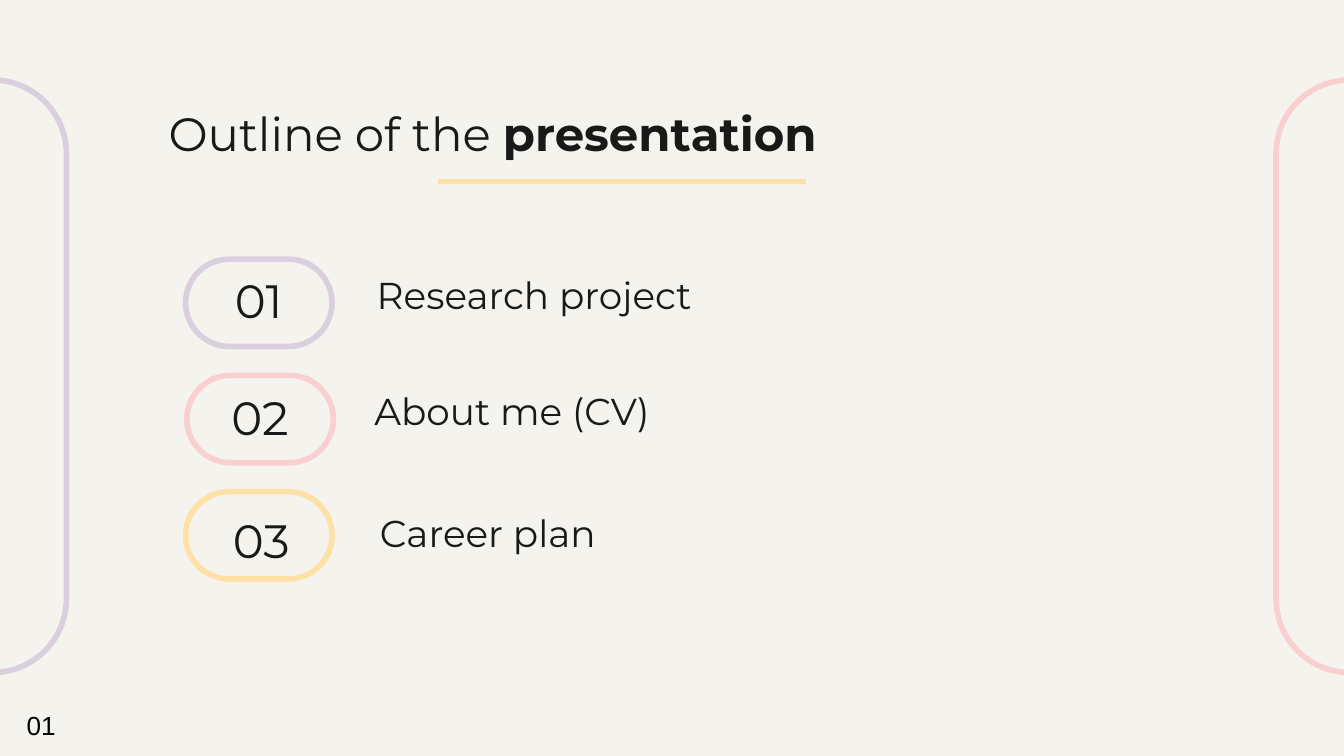
from lxml import etree
from pptx import Presentation
from pptx.dml.color import RGBColor
from pptx.enum import shapes as kinds, text as align
from pptx.oxml import ns
from pptx.util import Pt

COLORS = {
    "paper": "F5F3ED", "ink": "191919", "black": "000000",
    "lilac": "D9CFDE", "pink": "F9CFD0", "yellow": "FFE0A7",
}
SLIDE_W, SLIDE_H = 720, 405
INSET = 7.2
PILL_W, PILL_H = 78.5, 46.8
ROW_TOP, ROW_PITCH = 138.8, 62.3

# colour, pill left, (number, left, drop), (label, left, width, drop);
# a drop is measured from the top of the row
TOPICS = [
    ("lilac", 99.4, ("01", 110.9, -0.6), ("Research project", 194.4, 183.6, -3.4)),
    ("pink", 100.1, ("02", 111.6, -0.2), ("About me (CV)", 188.6, 171.4, -3.8)),
    ("yellow", 99.4, ("03", 112.3, 3.7), ("Career plan", 149.8, 223.2, -0.6)),
]


def rgb(name):
    return RGBColor.from_string(COLORS[name])


def add_outline(slide, box, color):
    """Unfilled shape with fully rounded ends."""
    outline = slide.shapes.add_shape(
        kinds.MSO_SHAPE.ROUNDED_RECTANGLE, *map(Pt, box))
    outline.adjustments[0] = 0.5
    outline.shadow.inherit = False
    outline.fill.background()
    outline.line.color.rgb = rgb(color)
    outline.line.width = Pt(3)


def add_text(slide, box, parts, size, anchor=align.MSO_ANCHOR.TOP,
             alignment=align.PP_ALIGN.CENTER, font="Montserrat",
             color="ink", inset_y=INSET):
    """One paragraph made of (words, bold) parts."""
    frame = slide.shapes.add_textbox(*map(Pt, box)).text_frame
    frame.word_wrap = True
    frame.vertical_anchor = anchor
    frame.margin_left = frame.margin_right = Pt(INSET)
    frame.margin_top = frame.margin_bottom = Pt(inset_y)
    paragraph = frame.paragraphs[0]
    paragraph.alignment = alignment
    for words, bold in parts:
        run = paragraph.add_run()
        run.text = words
        run.font.name = font
        run.font.size = Pt(size)
        run.font.bold = bold
        run.font.color.rgb = rgb(color)


def add_side_frames(slide, top, width, height):
    for left, color in ((-43.6, "lilac"), (683.6, "pink")):
        add_outline(slide, (left, top, width, height), color)


def add_heading(slide, box):
    left, top, width, height = box
    add_text(slide, box, [("Outline of the ", False), ("presentation", True)], 25)
    rule_y = top + height + 2.8
    rule = slide.shapes.add_connector(
        kinds.MSO_CONNECTOR.STRAIGHT,
        Pt(left + 274.3), Pt(rule_y), Pt(left + 471.6), Pt(rule_y))
    rule.line.color.rgb = rgb("yellow")
    rule.line.width = Pt(3)
    etree.SubElement(rule.element.spPr, ns.qn("a:effectLst"))


def add_topic(slide, top, topic):
    color, pill_left, number_part, label_part = topic
    number, number_left, number_drop = number_part
    label, label_left, label_width, label_drop = label_part
    add_outline(slide, (pill_left, top, PILL_W, PILL_H), color)
    add_text(slide, (number_left, top + number_drop, 55.4, PILL_H),
             [(number, False)], 25)
    add_text(slide, (label_left, top + label_drop, label_width, 41.8),
             [(label, False)], 20, anchor=align.MSO_ANCHOR.BOTTOM)


def add_page_number(slide, box):
    add_text(slide, box, [("01", False)], 14,
             anchor=align.MSO_ANCHOR.BOTTOM, alignment=align.PP_ALIGN.LEFT,
             font="Arial", color="black", inset_y=3.6)


def main():
    deck = Presentation()
    deck.slide_width, deck.slide_height = Pt(SLIDE_W), Pt(SLIDE_H)
    slide = deck.slides.add_slide(deck.slide_layouts[6])
    slide.background.fill.solid()
    slide.background.fill.fore_color.rgb = rgb("paper")

    add_side_frames(slide, 42.8, 79.2, 317.5)
    add_heading(slide, (-39.6, 49, 607, 45.4))
    for row, topic in enumerate(TOPICS):
        add_topic(slide, ROW_TOP + row * ROW_PITCH, topic)
    add_page_number(slide, (7.2, 359.3, 37.4, 41))
    deck.save("out.pptx")


if __name__ == "__main__":
    main()
